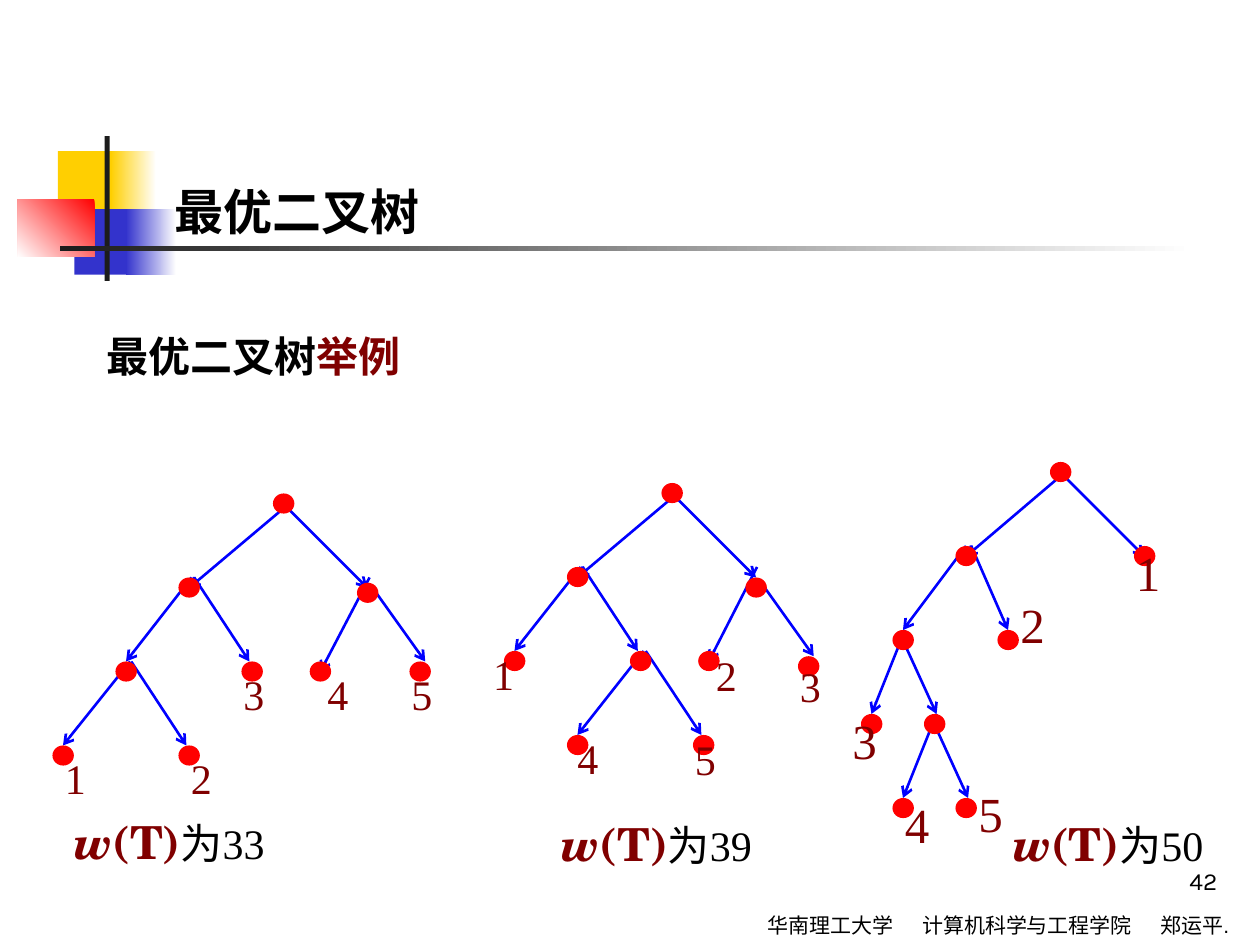
from lxml import etree
from pptx import Presentation
from pptx.dml.color import RGBColor as RGB
from pptx.enum.shapes import MSO_CONNECTOR as LINK, MSO_SHAPE as SHAPE
from pptx.enum.text import MSO_ANCHOR as ANCHOR, MSO_AUTO_SIZE as AUTO, PP_ALIGN as ALIGN
from pptx.oxml.ns import qn
from pptx.util import Inches, Pt

BLACK, WHITE, DARK = RGB(0, 0, 0), RGB(255, 255, 255), RGB(0x1C, 0x1C, 0x1C)
GOLD, NAVY, RED = RGB(0xFF, 0xCF, 0x01), RGB(0x33, 0x33, 0xCC), RGB(255, 0, 0)
BLUE, MAROON = RGB(0, 0, 255), RGB(0x80, 0, 0)
SANS, SERIF = "Noto Sans CJK SC", "Times New Roman"

# Place in inches, then one colour, or first colour, last colour and angle
DECOR = [
    ((0.46, 1.2, 0.48, 0.52), (GOLD,)),
    ((0.88, 1.2, 0.36, 0.52), (WHITE, GOLD, 180)),
    ((0.59, 1.66, 0.46, 0.52), (NAVY,)),
    ((1, 1.66, 0.4, 0.52), (WHITE, NAVY, 180)),
    ((0.14, 1.58, 0.61, 0.46), (RED, WHITE, 225)),
    ((0.83, 1.08, 0.04, 1.15), (DARK,)),
    ((0.48, 1.95, 9, 0.04), (WHITE, DARK, 180)),
]

# Trees lie on a grid of 12 cells to the inch.
CELL = 1 / 12
DOT = (0.17, 0.16)
CAPTION = (2.05, 0.71)
TREES = [
    dict(
        weight=33, caption=(5.9, 74.8), size=24, lead=0.8, box=(0.36, 0.42),
        nodes=[(26, 47), (17, 55), (34, 55.5), (11, 63), (39, 63),
               (29.5, 63), (23, 63), (5, 71), (17, 71)],
        edges=[(27.5, 48, 18, 56), (27, 48, 35, 56), (18.25, 55, 12, 63),
               (18.5, 55, 23.75, 63), (35.5, 56, 40.5, 63), (35.2, 55, 30.5, 64),
               (12.4, 63, 6, 71), (12.5, 63, 17.75, 71)],
        leaves=[(5, 72), (17, 72), (22, 64), (30, 64), (38, 64)],
    ),
    dict(
        weight=39, caption=(52.3, 75), size=24, lead=0.6, box=(0.36, 0.34),
        nodes=[(63, 46), (54, 54), (71, 55), (48, 62), (60, 62),
               (66.5, 62), (76, 62.5), (54, 70), (66, 70)],
        edges=[(64.5, 47, 55, 55), (64, 47, 72, 55), (55.3, 54, 49, 62),
               (55.5, 54, 60.75, 62), (72.5, 55.5, 77.5, 62.5), (72.1, 54, 67.5, 63),
               (61.3, 62, 55, 70), (61.5, 62, 66.8, 70)],
        leaves=[(45.8, 62.9), (67, 63), (75, 64), (53.8, 70.9), (65, 71)],
    ),
    dict(
        weight=50, caption=(95.3, 75), size=28, lead=0.6, box=(0.39, 0.38),
        nodes=[(100, 44), (91, 52), (108, 52), (85, 60), (95, 60),
               (82, 68), (88, 68), (85, 76), (91, 76)],
        edges=[(101.4, 45, 92, 53), (101, 45, 109, 53), (92, 52, 86, 60),
               (92.5, 52, 96, 60), (86.2, 60, 83, 68), (86, 61, 89.2, 68),
               (89.2, 68, 86, 76), (89, 69, 92.2, 76)],
        leaves=[(107, 53), (96, 58), (80, 69), (85, 77), (92, 76)],
    ),
]

deck = Presentation()
deck.slide_width, deck.slide_height = Inches(10), Inches(7.5)
slide = deck.slides.add_slide(deck.slide_layouts[6])
shapes = slide.shapes


def inch(nums):
    return [Inches(n) for n in nums]


def grid(nums):
    return tuple(n * CELL for n in nums)


def solid(kind, place, look):
    """Draw a shape filled with one colour or a two-colour gradient."""
    item = shapes.add_shape(kind, *inch(place))
    item.shadow.inherit = False
    item.line.fill.background()
    if len(look) == 1:
        item.fill.solid()
        item.fill.fore_color.rgb = look[0]
        return
    item.fill.gradient()
    item.fill.gradient_angle = look[2]
    for stop, tint, pos in zip(item.fill.gradient_stops, look, (0, 1)):
        stop.color.rgb, stop.position = tint, pos


def arrow(ends):
    link = shapes.add_connector(LINK.STRAIGHT, *inch(grid(ends)))
    link.line.color.rgb, link.line.width = BLUE, Pt(1.5)
    props = link.element.spPr
    etree.SubElement(props.find(qn("a:ln")), qn("a:tailEnd"), type="arrow")
    etree.SubElement(props, qn("a:effectLst"))


def write(text, place, size=24, font=SERIF, color=BLACK, bold=False, lead=None,
          align=ALIGN.LEFT, anchor=ANCHOR.MIDDLE, wrap=False, tabs=()):
    """Write a string, or a list of (string, changes) runs."""
    frame = shapes.add_textbox(*inch(place)).text_frame
    frame.word_wrap, frame.vertical_anchor = wrap, anchor
    frame.auto_size = AUTO.NONE if wrap else AUTO.SHAPE_TO_FIT_TEXT
    para = frame.paragraphs[0]
    para.alignment = align
    if lead:
        para.line_spacing = lead
    if tabs:
        stops = etree.SubElement(para._p.get_or_add_pPr(), qn("a:tabLst"))
        for pos in tabs:
            etree.SubElement(stops, qn("a:tab"), pos=str(Inches(pos)), algn="l")
    base = dict(size=size, font=font, color=color, bold=bold, italic=False)
    for part, change in [(text, {})] if isinstance(text, str) else text:
        look = base | change
        run = para.add_run()
        run.text = part
        run.font.size, run.font.name = Pt(look["size"]), look["font"]
        run.font.bold, run.font.italic = look["bold"], look["italic"]
        run.font.color.rgb = look["color"]
        etree.SubElement(run.font._element, qn("a:ea"), typeface=SANS)


for place, look in DECOR:
    solid(SHAPE.RECTANGLE, place, look)

write("华南理工大学\t计算机科学与工程学院\t郑运平.", (5.99, 7.19, 3.95, 0.3),
      size=12, font="Arial", anchor=ANCHOR.TOP, tabs=(1.23, 3.12))
write("最优二叉树", (1.29, 1.39, 2.6, 0.57), size=28, font=SANS, bold=True, wrap=True)
write([("最优二叉树", {}), ("举例", dict(color=MAROON))], (0.75, 2.49, 9, 0.58),
      font=SANS, bold=True, lead=1.2, anchor=ANCHOR.TOP, wrap=True)

mark = dict(size=26, font="TeX Gyre Schola", color=MAROON, bold=True)
for tree in TREES:
    for ends in tree["edges"]:
        arrow(ends)
    for node in tree["nodes"]:
        solid(SHAPE.OVAL, grid(node) + DOT, (RED,))
    for num, spot in enumerate(tree["leaves"], 1):
        write(str(num), grid(spot) + tree["box"], size=tree["size"],
              color=MAROON, lead=tree["lead"])
    write([("w", mark | dict(italic=True)), ("(T)", mark), (f"为{tree['weight']}", {})],
          grid(tree["caption"]) + CAPTION, lead=1.4, wrap=True)

write("42", (7.68, 6.66, 2.08, 0.5), size=14, font="Karla", align=ALIGN.RIGHT,
      anchor=ANCHOR.BOTTOM, wrap=True)

deck.save("out.pptx")
